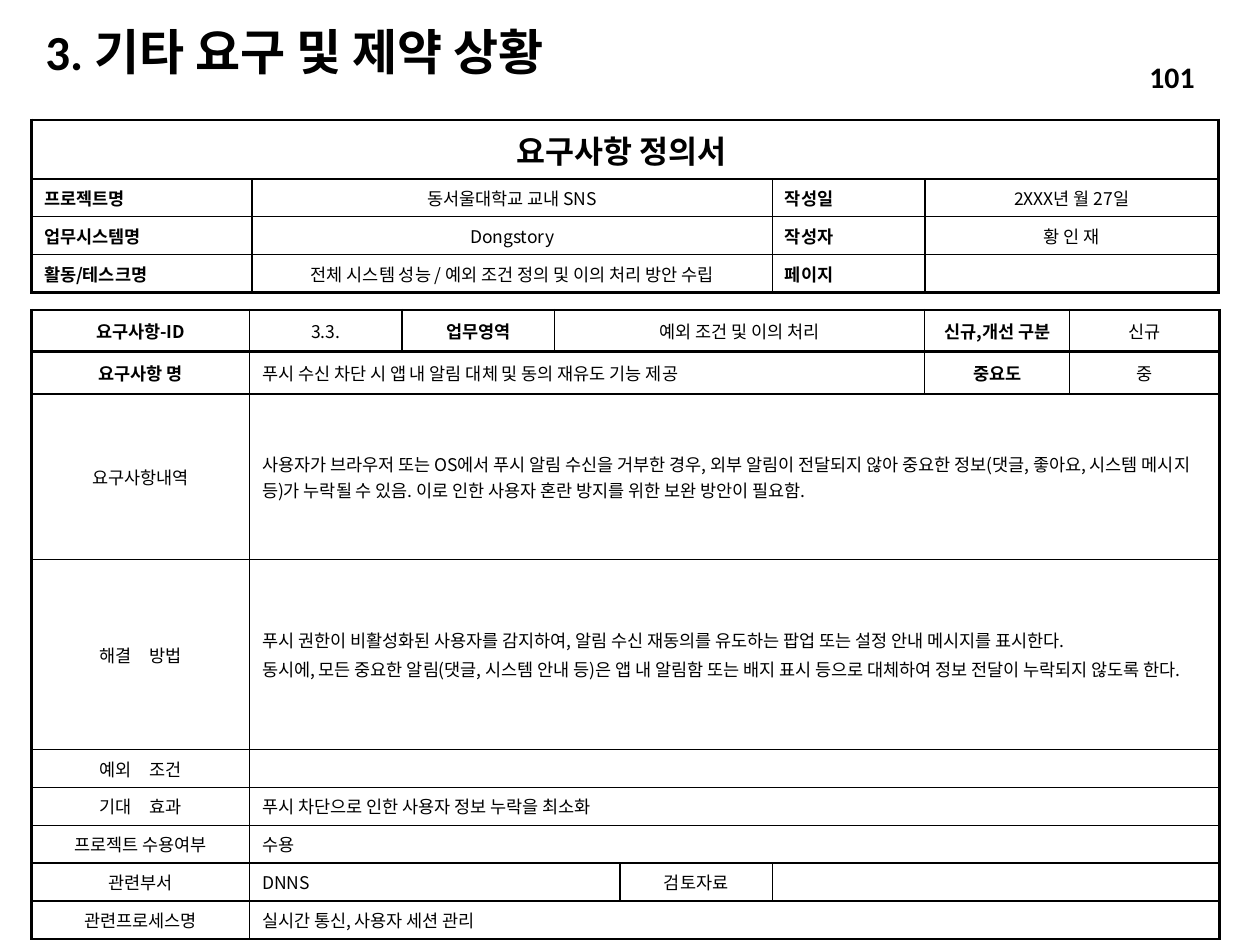
from lxml import etree
from pptx import Presentation
from pptx.dml.color import RGBColor
from pptx.enum.text import MSO_ANCHOR, PP_ALIGN
from pptx.oxml.ns import qn
from pptx.util import Inches, Pt

LEFT, MID, RIGHT, JUST = PP_ALIGN.LEFT, PP_ALIGN.CENTER, PP_ALIGN.RIGHT, PP_ALIGN.JUSTIFY
CENTER, TOP = MSO_ANCHOR.MIDDLE, MSO_ANCHOR.TOP
SANS = "Noto Sans CJK KR"
INK = "000000"


def write(frame, text, size=10, bold=False, align=LEFT, font=SANS, color=INK):
    for i, line in enumerate(text.split("\n")):
        para = frame.paragraphs[0] if i == 0 else frame.add_paragraph()
        para.alignment = align
        if i:
            para.space_before = Pt(2)
        if not line:
            etree.SubElement(para._p, qn("a:endParaRPr"), sz=str(size * 100))
            continue
        run = para.add_run()
        run.text = line
        run.font.size = Pt(size)
        run.font.bold = bold
        run.font.color.rgb = RGBColor.from_string(color)
        run.font.name = font


def edge(cell, sides):
    props = cell._tc.get_or_add_tcPr()
    for side, width in zip("LRTB", sides):
        line = etree.SubElement(props, qn("a:ln" + side), w=str(Pt(width)))
        fill = etree.SubElement(line, qn("a:solidFill"))
        etree.SubElement(fill, qn("a:srgbClr"), val=INK)


deck = Presentation()
deck.slide_width, deck.slide_height = Inches(10), Inches(7.5)
slide = deck.slides.add_slide(deck.slide_layouts[5])

title = slide.shapes.title
title.left, title.top = Inches(0.26), Inches(0.21)
title.width, title.height = Inches(5.36), Inches(0.44)
title.text_frame.vertical_anchor = CENTER
write(title.text_frame, "3. 기타 요구 및 제약 상황", size=28, bold=True, font="Calibri")
title.text_frame.paragraphs[0].line_spacing = 0.9

STYLES = {
    "head": dict(size=18, bold=True, align=MID),
    "name": dict(bold=True, align=JUST),
    "label": dict(bold=True, align=MID),
    "mid": dict(align=MID),
    "left": dict(align=LEFT),
}

detail = [
    [("요구사항-ID", "label", 1), ("3.3.", "mid", 1), ("업무영역", "label", 1),
     ("예외 조건 및 이의 처리", "mid", 3), ("신규,개선 구분", "label", 1), ("신규", "mid", 1)],
    [("요구사항 명", "label", 1),
     ("푸시 수신 차단 시 앱 내 알림 대체 및 동의 재유도 기능 제공", "left", 5),
     ("중요도", "label", 1), ("중", "mid", 1)],
    [("요구사항내역", "mid", 1),
     ("사용자가 브라우저 또는 OS에서 푸시 알림 수신을 거부한 경우, 외부 알림이 전달되지 않아 "
      "중요한 정보(댓글, 좋아요, 시스템 메시지 등)가 누락될 수 있음. "
      "이로 인한 사용자 혼란 방지를 위한 보완 방안이 필요함.", "left", 7)],
    [("해결　방법", "mid", 1),
     ("푸시 권한이 비활성화된 사용자를 감지하여, 알림 수신 재동의를 유도하는 팝업 또는 "
      "설정 안내 메시지를 표시한다.\n"
      "동시에, 모든 중요한 알림(댓글, 시스템 안내 등)은 앱 내 알림함 또는 배지 표시 등으로 "
      "대체하여 정보 전달이 누락되지 않도록 한다.", "left", 7)],
    [("예외　조건", "mid", 1), ("", "left", 7)],
    [("기대　효과", "mid", 1), ("푸시 차단으로 인한 사용자 정보 누락을 최소화", "left", 7)],
    [("프로젝트 수용여부", "mid", 1), ("수용", "left", 7)],
    [("관련부서", "mid", 1), ("DNNS", "left", 3), ("검토자료", "mid", 1), ("", "left", 3)],
    [("관련프로세스명", "mid", 1), ("실시간 통신, 사용자 세션 관리", "left", 7)],
]

facts = [
    ("프로젝트명", "동서울대학교 교내 SNS", "작성일", "2XXX년 월 27일"),
    ("업무시스템명 ", "Dongstory", "작성자", "황 인 재"),
    ("활동/테스크명", "전체 시스템 성능 / 예외 조건 정의 및 이의 처리 방안 수립", "페이지", ""),
]
summary = [[("요구사항 정의서 ", "head", 4)]]
for a, b, c, d in facts:
    summary.append([(a, "name", 1), (b, "mid", 1), (c, "name", 1), (d, "mid", 1)])

tables = [
    (detail, 2.46, [1.73, 1.21, 1.21, 0.52, 1.21, 1.21, 1.15, 1.19],
     [0.33, 0.34, 1.31, 1.51] + [0.27] * 5, {0, 1, 2, 9}, CENTER),
    (summary, 0.95, [1.75, 4.13, 1.21, 2.33], [0.47] + [0.27] * 3, {0, 4}, TOP),
]
for rows, top, wides, highs, thick, anchor in tables:
    frame = slide.shapes.add_table(len(highs), len(wides), Inches(0.25), Inches(top),
                                   Inches(sum(wides)), Inches(sum(highs)))
    grid = frame.table
    grid.first_row = grid.horz_banding = False
    for col, wide in zip(grid.columns, wides):
        col.width = Inches(wide)
    for r, row in enumerate(rows):
        grid.rows[r].height = Inches(highs[r])
        start = 0
        for text, style, span in row:
            end = start + span
            cell = grid.cell(r, start)
            if span > 1:
                cell.merge(grid.cell(r, end - 1))
            cell.vertical_anchor = CENTER if style == "head" else anchor
            write(cell.text_frame, text, **STYLES[style])
            sides = [1.5 if heavy else 1 for heavy in
                     (start == 0, end == len(wides), r in thick, r + 1 in thick)]
            for c in range(start, end):
                edge(grid.cell(r, c), sides)
                grid.cell(r, c).fill.background()
            start = end

page = slide.shapes.add_textbox(Inches(7.96), Inches(0.41), Inches(1.62), Inches(0.4))
page.text_frame.word_wrap = True
page.text_frame.vertical_anchor = CENTER
write(page.text_frame, "101", size=17, bold=True, align=RIGHT, font="Calibri")

deck.save("out.pptx")
